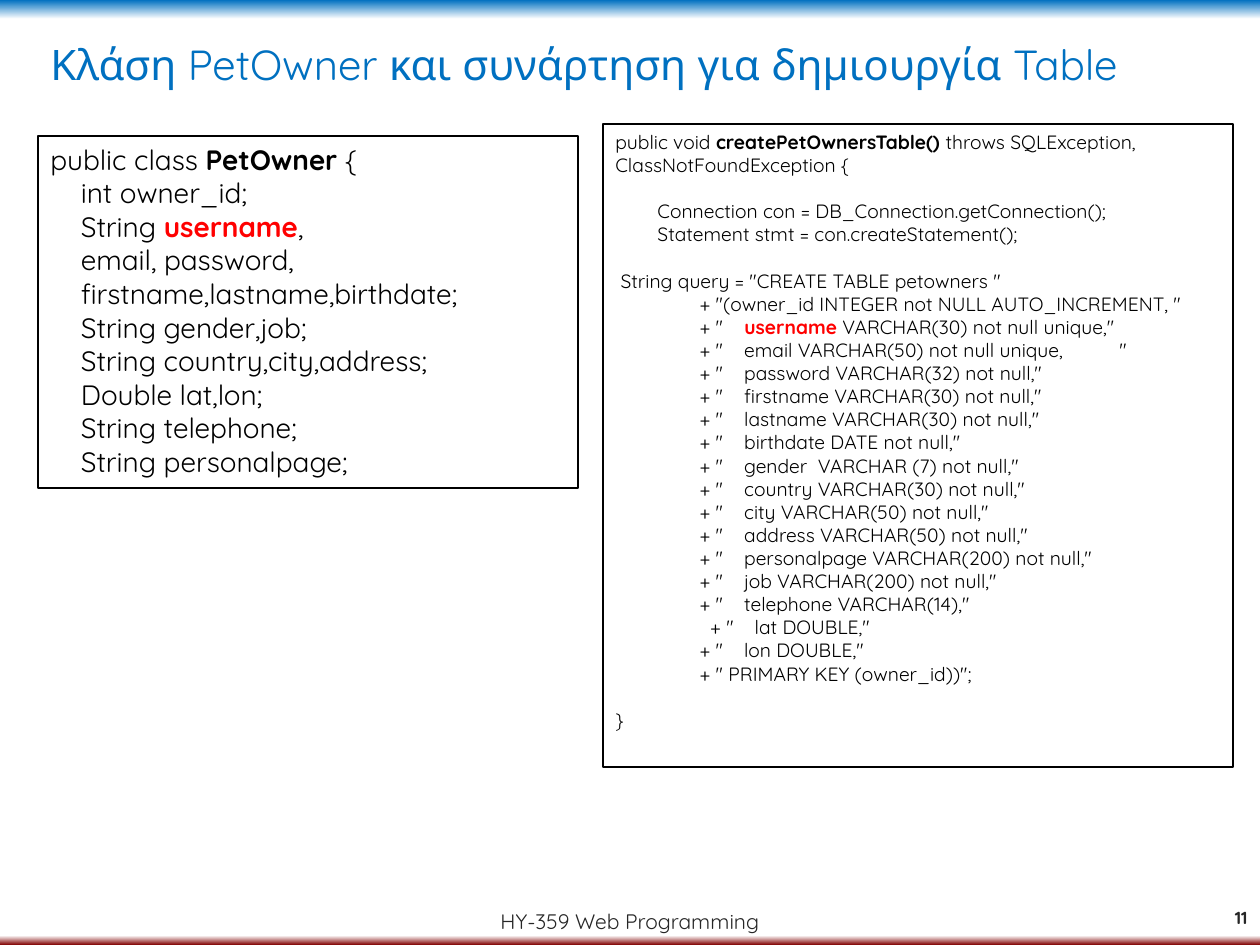
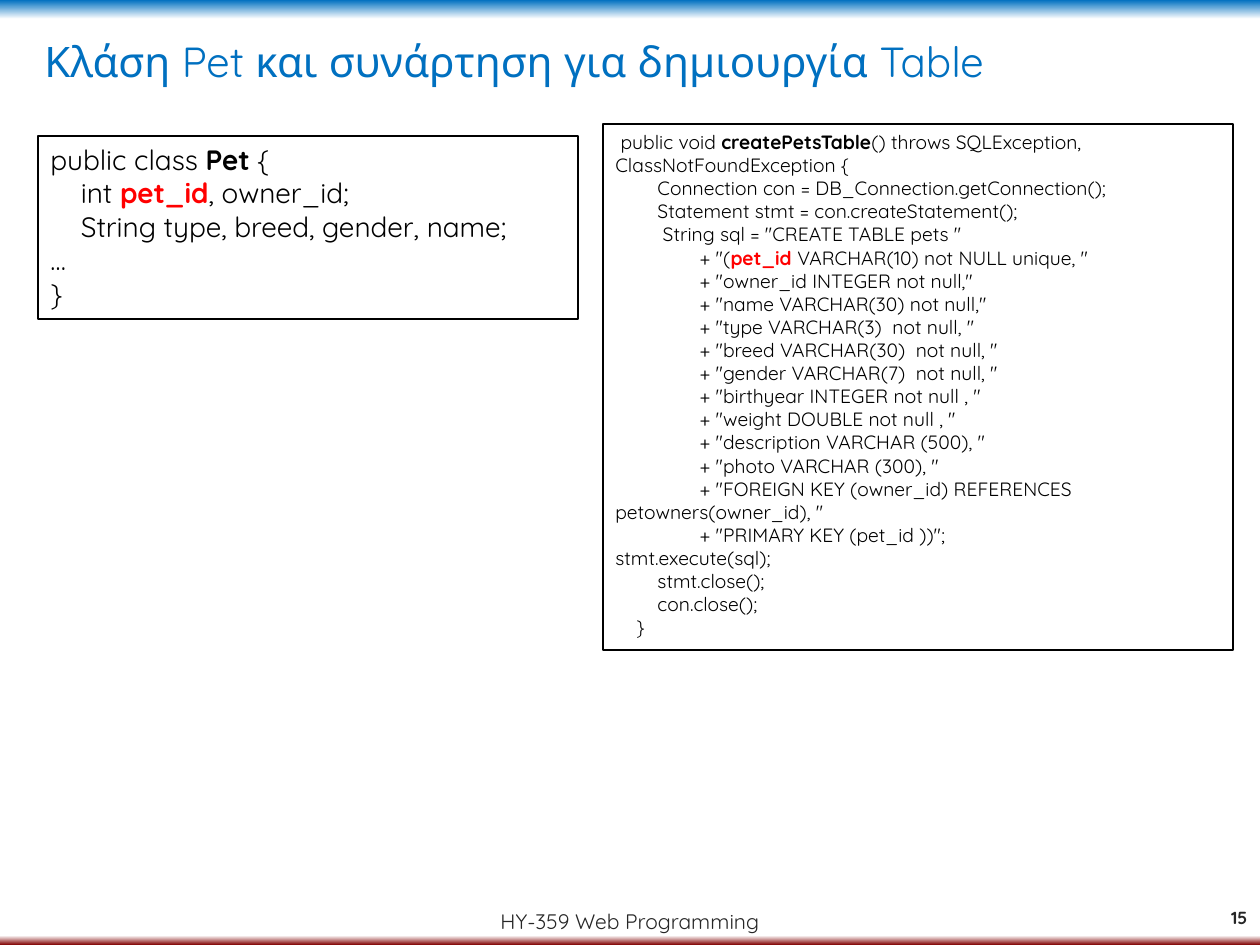
from dataclasses import dataclass

import pptx
import pptx.dml.color
import pptx.enum.dml
import pptx.enum.shapes
import pptx.enum.text
import pptx.oxml
import pptx.oxml.ns
import pptx.util

SCALE = 914400 / 126
ALIGN = pptx.enum.text.PP_ALIGN
ANCHOR = pptx.enum.text.MSO_ANCHOR


@dataclass(frozen=True)
class Theme:
    font: str = "Quicksand"
    blue: str = "0070C0"
    white: str = "FFFFFF"
    maroon: str = "800000"
    black: str = "000000"
    red: str = "FF0000"
    gray: str = "262626"
    title: int = 24
    code: int = 16
    query: int = 11
    footer: int = 12
    number: int = 10
    leading: float = 1.2
    border: float = 0.75


THEME = Theme()

OWNER = """public class |*PetOwner| {
    int owner_id;
    String |!username|,
    email, password,
    firstname,lastname,birthdate;
    String gender,job;
    String country,city,address;
    Double lat,lon;
    String telephone;
    String personalpage;"""

OPEN = """        Connection con = DB_Connection.getConnection();
        Statement stmt = con.createStatement();"""

OWNERS = [
    "public void |*createPetOwnersTable() |throws SQLException, ClassNotFoundException {",
    "",
    OPEN,
    "",
    ' String query = "CREATE TABLE petowners "',
    '                + "(owner_id INTEGER not NULL AUTO_INCREMENT, "',
]

FIELDS = """    |!username| VARCHAR(30) not null unique,
    email VARCHAR(50) not null unique,\t
    password VARCHAR(32) not null,
    firstname VARCHAR(30) not null,
    lastname VARCHAR(30) not null,
    birthdate DATE not null,
    gender  VARCHAR (7) not null,
    country VARCHAR(30) not null,
    city VARCHAR(50) not null,
    address VARCHAR(50) not null,
    personalpage VARCHAR(200) not null,
    job VARCHAR(200) not null,
    telephone VARCHAR(14),"""

ENDING = """                  + "    lat DOUBLE,"
                + "    lon DOUBLE,"
                + " PRIMARY KEY (owner_id))";

}"""

PET = """public class |*Pet| {
    int |!pet_id|, owner_id;
    String type, breed, gender, name;
…
}"""

PETS = [
    " public void |*createPetsTable|() throws SQLException, ClassNotFoundException {",
    OPEN,
    '         String sql = "CREATE TABLE pets "',
]

TRAITS = """(|!pet_id |VARCHAR(10) not NULL unique,\x20
owner_id INTEGER not null,
name VARCHAR(30) not null,
type VARCHAR(3)  not null,\x20
breed VARCHAR(30)  not null,\x20
gender VARCHAR(7)  not null,\x20
birthyear INTEGER not null ,\x20
weight DOUBLE not null ,\x20
description VARCHAR (500),\x20
photo VARCHAR (300),\x20
FOREIGN KEY (owner_id) REFERENCES petowners(owner_id),\x20"""

CLOSING = """                + "PRIMARY KEY (pet_id ))";
stmt.execute(sql);
        stmt.close();
        con.close();
    }"""


def place(*sizes):
    return [pptx.util.Emu(round(size * SCALE)) for size in sizes]


def color(code):
    return pptx.dml.color.RGBColor.from_string(code)


def quote(head, fields, tail):
    rows = [f'{" " * 16}+ "{field}"' for field in fields.split("\n")]
    return "\n".join([*head, *rows, tail])


def add_run(para, text, size, tint, bold=False):
    run = para.add_run()
    run.text = text
    font = run.font
    font.name = THEME.font
    font.size = pptx.util.Pt(size)
    font.bold = bold
    font.color.rgb = color(tint)


def set_frame(frame, anchor=ANCHOR.TOP):
    frame.word_wrap = True
    frame.auto_size = pptx.enum.text.MSO_AUTO_SIZE.NONE
    frame.vertical_anchor = anchor


def add_label(slide, box, text, size, tint, align=ALIGN.LEFT,
              anchor=ANCHOR.TOP, bold=False):
    frame = slide.shapes.add_textbox(*place(*box)).text_frame
    set_frame(frame, anchor)
    para = frame.paragraphs[0]
    para.alignment = align
    add_run(para, text, size, tint, bold)


def add_code(slide, box, code, size):
    kind = pptx.enum.shapes.MSO_SHAPE.RECTANGLE
    shape = slide.shapes.add_shape(kind, *place(*box))
    shape.shadow.inherit = False
    shape.fill.background()
    shape.line.color.rgb = color(THEME.black)
    shape.line.width = pptx.util.Pt(THEME.border)
    frame = shape.text_frame
    set_frame(frame)
    para, gap = frame.paragraphs[0], 0
    for row, line in enumerate(code.split("\n")):
        if not line:
            gap += size * THEME.leading
            continue
        if row:
            para = frame.add_paragraph()
        para.alignment = ALIGN.LEFT
        if gap:
            para.space_before = pptx.util.Pt(gap)
            gap = 0
        for part in filter(None, line.split("|")):
            mark = part[0] if part[0] in "*!" else ""
            tint = THEME.red if mark == "!" else THEME.black
            add_run(para, part[len(mark):], size, tint, bool(mark))


def paint_back(slide):
    fill = slide.background.fill
    fill.gradient()
    fill.gradient_angle = 270
    stops = slide.element.find(".//" + pptx.oxml.ns.qn("a:gsLst"))
    for stop in list(stops):
        stops.remove(stop)
    bands = ((0, THEME.blue), (2, THEME.white),
             (99, THEME.white), (100, THEME.maroon))
    for spot, tint in bands:
        stops.append(pptx.oxml.parse_xml(
            f'<a:gs {pptx.oxml.ns.nsdecls("a")} pos="{spot * 1000}">'
            f'<a:srgbClr val="{tint}"/></a:gs>'))


def add_page(deck, number, title, spot):
    slide = deck.slides.add_slide(deck.slide_layouts[6])
    paint_back(slide)
    add_label(slide, (0, 893, 1260, 57), "HY-359 Web Programming",
              THEME.footer, THEME.gray, ALIGN.CENTER, ANCHOR.MIDDLE)
    add_label(slide, (1192, 893, 68, 50), str(number), THEME.number,
              THEME.gray, ALIGN.RIGHT, ANCHOR.MIDDLE, True)
    add_label(slide, (*spot, 1200, 89), title, THEME.title, THEME.blue)
    return slide


def add_pair(slide, left, tall, right, deep):
    add_code(slide, (38, 136, 540, tall), left, THEME.code)
    add_code(slide, (603, 124, 630, deep), right, THEME.query)


def main():
    deck = pptx.Presentation()
    deck.slide_width, deck.slide_height = place(1260, 945)
    owner = add_page(deck, 11, "Κλάση PetOwner και συνάρτηση για δημιουργία Table", (38, 32))
    add_pair(owner, OWNER, 352, quote(OWNERS, FIELDS, ENDING), 643)
    pet = add_page(deck, 15, "Κλάση Pet και συνάρτηση για δημιουργία Table", (32, 29))
    add_pair(pet, PET, 183, quote(PETS, TRAITS, CLOSING), 526)
    deck.save("out.pptx")


if __name__ == "__main__":
    main()
